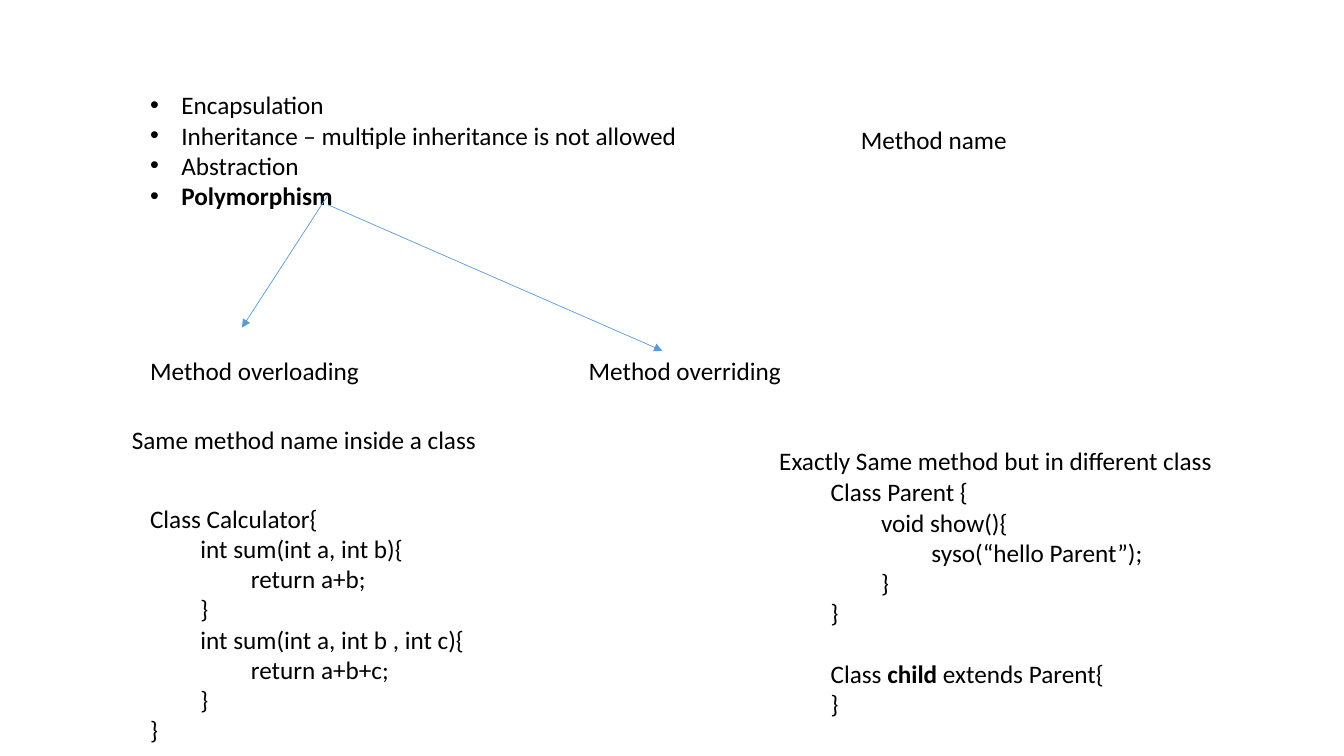
"""Build a slide on polymorphism with method overloading and overriding."""
from lxml.etree import SubElement
from pptx import Presentation
from pptx.dml.color import RGBColor
from pptx.enum.shapes import MSO_CONNECTOR
from pptx.enum.text import MSO_AUTO_SIZE
from pptx.oxml.ns import qn
from pptx.util import Inches, Pt

BLACK = RGBColor(0x00, 0x00, 0x00)
BLUE = RGBColor(0x5B, 0x9B, 0xD5)
WIDTH, HEIGHT = 13.33, 7.5
LEFT, MIDDLE = 1.39, 5.74
LINE_HEIGHT, PADDING = 0.3, 0.1
BULLET_INDENT = 0.31
FONT = {"name": "Calibri", "size": Pt(18)}
FRAME = {"word_wrap": False, "auto_size": MSO_AUTO_SIZE.SHAPE_TO_FIT_TEXT}

PRINCIPLES = [
    "Encapsulation",
    "Inheritance – multiple inheritance is not allowed",
    "Abstraction",
    "**Polymorphism",
]
LABELS = [
    ("Method name", 8.44, 1.18, 1.67),
    ("Method overloading", LEFT, 3.48, 2.3),
    ("Method overriding", MIDDLE, 3.48, 2.13),
    ("Same method name inside a class", 1.21, 4.16, 3.66),
    ("Exactly Same method but in different class", 7.63, 4.37, 4.55),
]
CALCULATOR = [
    (0, "Class Calculator{"),
    (1, "int sum(int a, int b){"),
    (2, "return a+b;"),
    (1, "}"),
    (1, "int sum(int a, int b , int c){"),
    (2, "return a+b+c;"),
    (1, "}"),
    (0, "}"),
]
PARENT = [
    (0, "Class Parent {"),
    (1, "void show(){"),
    (2, "syso(“hello Parent”);"),
    (1, "}"),
    (0, "}"),
    (0, "Class **child** extends Parent{"),
    (0, "}"),
]
CHILD_LINE = 5
ARROWS = [((3.25, 1.94), (2.4, 3.25)), ((3.25, 2.03), (6.57, 3.48))]


def set_values(target, values):
    for name, value in values.items():
        setattr(target, name, value)


def add_text(page, lines, left, top, width, rows=None):
    height = (rows or len(lines)) * LINE_HEIGHT + PADDING
    box = page.shapes.add_textbox(*map(Inches, (left, top, width, height)))
    frame = box.text_frame
    set_values(frame, FRAME)
    for number, line in enumerate(lines):
        para = frame.add_paragraph() if number else frame.paragraphs[0]
        for part, words in enumerate(line.split("**")):
            if words:
                span = para.add_run()
                span.text = words
                set_values(span.font, {**FONT, "bold": part % 2 == 1})
                span.font.color.rgb = BLACK
    return frame.paragraphs


def add_bullet(para):
    properties = para._p.get_or_add_pPr()
    indent = Inches(BULLET_INDENT)
    properties.set("marL", str(indent))
    properties.set("indent", str(-indent))
    SubElement(properties, qn("a:buFont"), typeface="Arial")
    SubElement(properties, qn("a:buChar"), char="•")


def add_arrow(page, start, end):
    arrow = page.shapes.add_connector(
        MSO_CONNECTOR.STRAIGHT, *map(Inches, start + end))
    arrow.line.color.rgb = BLUE
    arrow.line.width = Pt(0.5)
    SubElement(arrow.line._get_or_add_ln(), qn("a:tailEnd"), type="triangle")
    SubElement(arrow._element.spPr, qn("a:effectLst"))


def indent_code(lines):
    return ["\t" * depth + words for depth, words in lines]


def main():
    deck = Presentation()
    set_values(deck, {"slide_width": Inches(WIDTH), "slide_height": Inches(HEIGHT)})
    page = deck.slides.add_slide(deck.slide_layouts[6])
    for para in add_text(page, PRINCIPLES, LEFT, 0.84, 5.49):
        add_bullet(para)
    for words, left, top, width in LABELS:
        add_text(page, [words], left, top, width)
    for start, end in ARROWS:
        add_arrow(page, start, end)
    add_text(page, indent_code(CALCULATOR), LEFT, 4.94, 3.86)
    code = add_text(page, indent_code(PARENT), 8.14, 4.68, 4.34, len(PARENT) + 1)
    code[CHILD_LINE].space_before = Inches(LINE_HEIGHT)
    deck.save("out.pptx")


if __name__ == "__main__":
    main()
